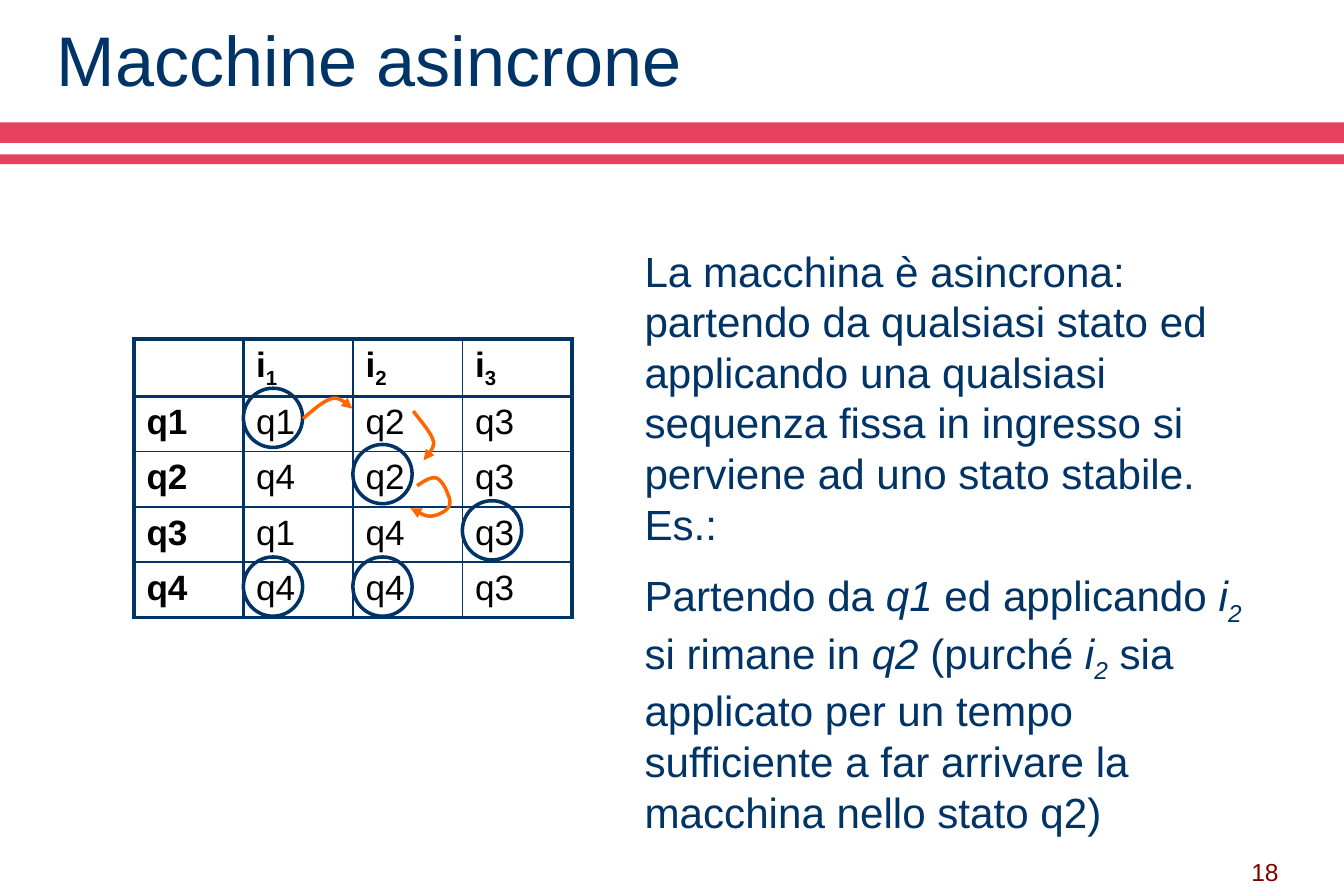
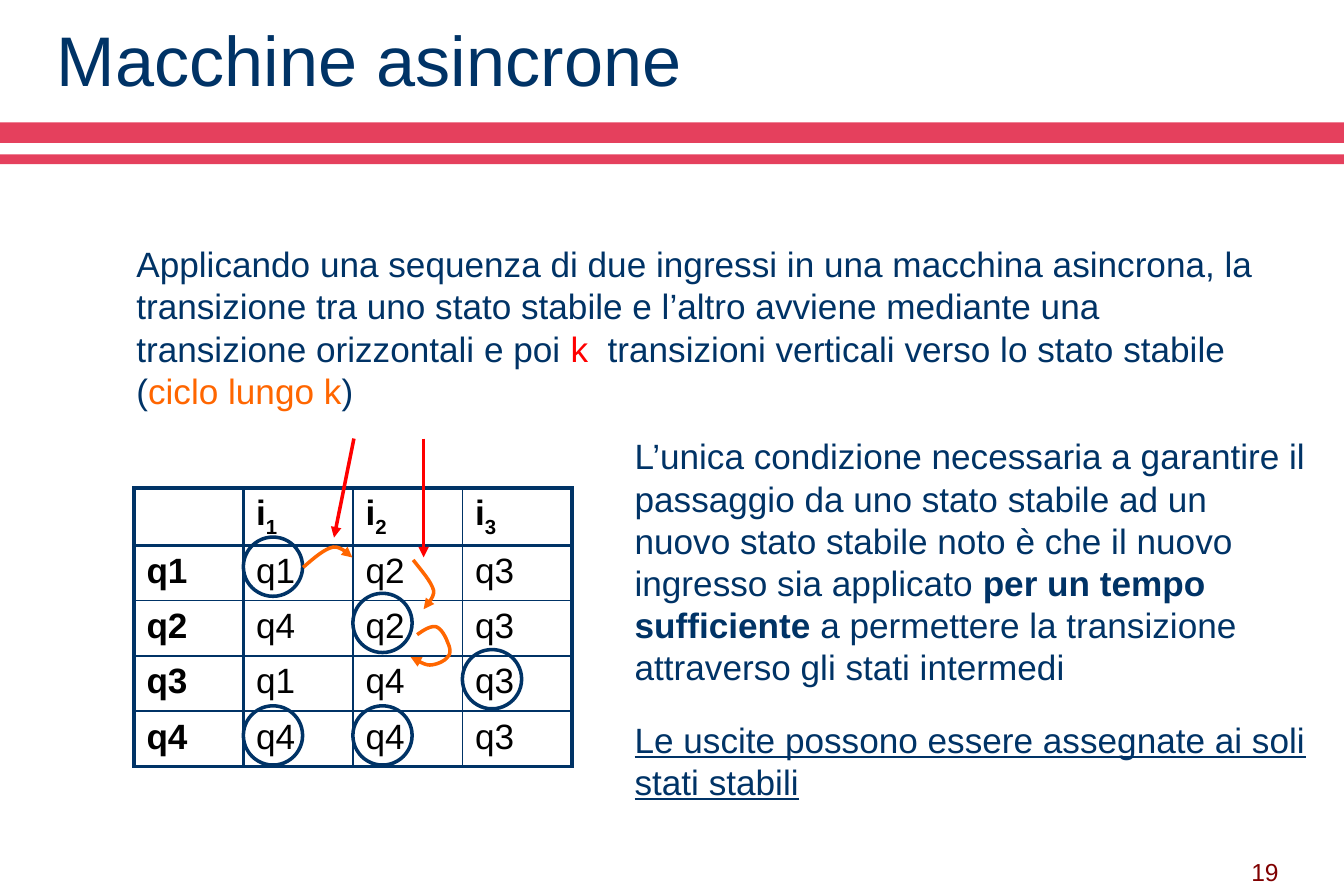
"""Build two slides on stable states in asynchronous state machines."""
from dataclasses import dataclass
from typing import Optional, Sequence

from lxml import etree
from pptx import Presentation
from pptx import util as u
from pptx.dml.color import RGBColor
from pptx.enum import shapes, text
from pptx.oxml.ns import qn

NAVY = RGBColor(0x00, 0x33, 0x66)
PINK = RGBColor(0xE5, 0x40, 0x5D)
ORANGE = RGBColor(0xFF, 0x66, 0x00)
RED = RGBColor(0xFF, 0x00, 0x00)
MAROON = RGBColor(0x80, 0x00, 0x00)
BLACK = RGBColor(0x00, 0x00, 0x00)

FONT = "Arial"
SLIDE_WIDTH, SLIDE_HEIGHT = 27, 18
TABLE_LEFT = 2.69
COLUMN, ROW = 2.2, 1.11
RING, RING_TOP, RING_STEP = 1.19, 0.99, 1.13
THICK, THIN = 2.25, 1
CURVE_STEPS = 8

Point = tuple[float, float]


@dataclass(frozen=True)
class Run:
    """A stretch of text with its own format."""
    words: str
    bold: bool = False
    italic: bool = False
    underline: bool = False
    subscript: bool = False
    color: Optional[RGBColor] = None


@dataclass(frozen=True)
class Box:
    """A place on the slide, in centimetres."""
    left: float
    top: float
    width: float
    height: float

    def lengths(self) -> tuple[u.Length, ...]:
        """Return the four lengths in the order python-pptx expects."""
        return tuple(u.Cm(v) for v in (self.left, self.top, self.width, self.height))


@dataclass(frozen=True)
class Passage:
    """Paragraphs of body text and their place."""
    box: Box
    paragraphs: Sequence[Sequence[Run]]
    size: float = 20


@dataclass(frozen=True)
class Page:
    """What differs from one slide to the next."""
    number: str
    table_top: float
    passages: Sequence[Passage]
    pointers: Sequence[tuple[Point, Point]] = ()


TITLE = "Macchine asincrone"
TITLE_BOX = Box(0.89, 0.61, 21.79, 1.4)
NUMBER_BOX = Box(19.46, 16.74, 6.48, 1.19)
BANDS = (Box(0, 2.46, SLIDE_WIDTH, 0.41), Box(0, 3.1, SLIDE_WIDTH, 0.2))

INPUTS = ("1", "2", "3")
NEXT_STATES = {
    "q1": ("q1", "q2", "q3"),
    "q2": ("q4", "q2", "q3"),
    "q3": ("q1", "q4", "q3"),
    "q4": ("q4", "q4", "q3"),
}

TRANSITIONS: tuple[tuple[Point, ...], ...] = (
    ((3.4, 1.6), (3.63, 1.4), (3.84, 1.22), (4.01, 1.19),
     (4.17, 1.17), (4.34, 1.37), (4.39, 1.4)),
    ((5.61, 1.45), (5.79, 1.68), (5.97, 1.88), (6.02, 2.06),
     (6.05, 2.21), (5.84, 2.39), (5.82, 2.44)),
    ((5.69, 2.95), (5.84, 2.84), (5.97, 2.77), (6.07, 2.79),
     (6.17, 2.82), (6.27, 3), (6.3, 3.1),
     (6.35, 3.2), (6.38, 3.33), (6.3, 3.4),
     (6.25, 3.48), (6.07, 3.56), (5.94, 3.56),
     (5.82, 3.56), (5.64, 3.43), (5.56, 3.4)),
)

INPUT_2 = (Run("i", italic=True), Run("2", italic=True, subscript=True))

PAGES = (
    Page("18", 6.81, (
        Passage(Box(12.7, 4.8, 12.6, 11.91), (
            (Run("La macchina è asincrona: partendo da qualsiasi stato ed applicando "
                 "una qualsiasi sequenza fissa in ingresso si perviene ad uno stato "
                 "stabile. Es.:"),),
            (Run("Partendo da "), Run("q1", italic=True), Run(" ed applicando "),
             *INPUT_2, Run(" si rimane in "), Run("q2 ", italic=True),
             Run("(purché "), *INPUT_2,
             Run(" sia applicato per un tempo sufficiente a far arrivare la "
                 "macchina nello stato q2)")),
        ), size=24),
    )),
    Page("19", 9.8, (
        Passage(Box(2.49, 4.75, 23.01, 3.63), ((
            Run("Applicando una sequenza di due ingressi in una macchina asincrona, la "
                "transizione tra uno stato stabile e l’altro avviene mediante una "
                "transizione orizzontali e poi "),
            Run("k", color=RED),
            Run("  transizioni verticali verso lo stato stabile ("),
            Run("ciclo lungo k", color=ORANGE), Run(")")),)),
        Passage(Box(12.5, 8.61, 14, 5.33), ((
            Run("L’unica condizione necessaria a garantire il passaggio da uno stato "
                "stabile ad un nuovo stato stabile noto è che il nuovo ingresso sia "
                "applicato "),
            Run("per un tempo sufficiente ", bold=True),
            Run("a permettere la transizione attraverso gli stati intermedi")),)),
        Passage(Box(12.5, 14.3, 14, 1.98), ((
            Run("Le uscite possono essere assegnate ai soli stati stabili",
                underline=True),),)),
    ), pointers=(((7.11, 8.81), (6.71, 10.8)), ((8.51, 8.81), (8.51, 11.2)))),
)


def write(frame, paragraphs: Sequence[Sequence[Run]], *, size: float,
          color: RGBColor = NAVY, align=text.PP_ALIGN.LEFT,
          anchor=text.MSO_ANCHOR.TOP, line_spacing: Optional[float] = None) -> None:
    """Fill a text frame with formatted paragraphs, half a line apart."""
    frame.word_wrap = True
    frame.auto_size = text.MSO_AUTO_SIZE.NONE
    frame.vertical_anchor = anchor
    for index, runs in enumerate(paragraphs):
        paragraph = frame.add_paragraph() if index else frame.paragraphs[0]
        paragraph.alignment = align
        if index:
            paragraph.space_before = u.Pt(size / 2)
        if line_spacing:
            paragraph.line_spacing = line_spacing
        for run in runs:
            piece = paragraph.add_run()
            piece.text = run.words
            font = piece.font
            font.name, font.size = FONT, u.Pt(size)
            font.bold, font.italic, font.underline = run.bold, run.italic, run.underline
            font.color.rgb = run.color or color
            if run.subscript:
                font._element.set("baseline", "-25000")


def outline(shape, color: RGBColor, *, arrow: bool = False) -> None:
    """Give a shape or connector a two-point line, with an arrowhead if asked."""
    shape.line.color.rgb = color
    shape.line.width = u.Pt(2)
    if arrow:
        ln = shape.element.spPr.get_or_add_ln()
        etree.SubElement(ln, qn("a:tailEnd"), type="triangle")


def add_text(slide, box: Box, paragraphs: Sequence[Sequence[Run]], **formats) -> None:
    """Add a text box and write into it."""
    write(slide.shapes.add_textbox(*box.lengths()).text_frame, paragraphs, **formats)


def add_frame(slide, number: str) -> None:
    """Draw the bands, title and page number that every slide has."""
    for box in BANDS:
        band = slide.shapes.add_shape(shapes.MSO_SHAPE.RECTANGLE, *box.lengths())
        band.shadow.inherit = False
        band.fill.solid()
        band.fill.fore_color.rgb = PINK
        band.line.fill.background()
    title = slide.shapes.title
    title.left, title.top, title.width, title.height = TITLE_BOX.lengths()
    write(title.text_frame, [[Run(TITLE)]], size=40,
          anchor=text.MSO_ANCHOR.MIDDLE, line_spacing=0.85)
    add_text(slide, NUMBER_BOX, [[Run(number)]], size=14, color=MAROON,
             align=text.PP_ALIGN.RIGHT, anchor=text.MSO_ANCHOR.BOTTOM)


def set_borders(cell, row: int, column: int, rows: int, columns: int) -> None:
    """Rule a cell, thick around the table and its headings."""
    edges = (("L", column, columns), ("R", column + 1, columns),
             ("T", row, rows), ("B", row + 1, rows))
    properties = cell._tc.get_or_add_tcPr()
    for side, boundary, last in edges:
        width = THICK if boundary in (0, 1, last) else THIN
        ln = etree.SubElement(properties, qn(f"a:ln{side}"), w=str(u.Pt(width)))
        fill = etree.SubElement(ln, qn("a:solidFill"))
        etree.SubElement(fill, qn("a:srgbClr"), val=str(NAVY))


def add_state_table(slide, top: float) -> None:
    """Add the table of next states."""
    heading = [(), *((Run("i", bold=True), Run(n, bold=True, subscript=True))
                     for n in INPUTS)]
    grid = [heading] + [[(Run(state, bold=True),), *((Run(s),) for s in following)]
                        for state, following in NEXT_STATES.items()]
    rows, columns = len(grid), len(heading)
    box = Box(TABLE_LEFT, top, COLUMN * columns, ROW * rows)
    table = slide.shapes.add_table(rows, columns, *box.lengths()).table
    table.first_row = table.horz_banding = False
    for r, line in enumerate(grid):
        for c, runs in enumerate(line):
            cell = table.cell(r, c)
            set_borders(cell, r, c, rows, columns)
            cell.fill.background()
            write(cell.text_frame, [runs], size=20, color=BLACK)


def add_stable_rings(slide, top: float) -> None:
    """Circle each cell whose next state is the state of its row."""
    for r, (state, following) in enumerate(NEXT_STATES.items()):
        for c, target in enumerate(following, start=1):
            if target == state:
                box = Box(TABLE_LEFT + COLUMN * c, top + RING_TOP + RING_STEP * r,
                          RING, RING)
                ring = slide.shapes.add_shape(shapes.MSO_SHAPE.OVAL, *box.lengths())
                ring.shadow.inherit = False
                ring.fill.background()
                outline(ring, NAVY)


def trace(controls: Sequence[Point]) -> list[Point]:
    """Return points along a chain of cubic curves."""
    points = [controls[0]]
    for start in range(0, len(controls) - 1, 3):
        corners = controls[start:start + 4]
        for step in range(1, CURVE_STEPS + 1):
            t = step / CURVE_STEPS
            weights = ((1 - t) ** 3, 3 * t * (1 - t) ** 2, 3 * t * t * (1 - t), t ** 3)
            points.append(tuple(sum(w * p[axis] for w, p in zip(weights, corners))
                                for axis in (0, 1)))
    return points


def add_transitions(slide, top: float) -> None:
    """Draw the curved arrows from state to state."""
    for controls in TRANSITIONS:
        first, *rest = [(u.Cm(TABLE_LEFT + x), u.Cm(top + y)) for x, y in trace(controls)]
        builder = slide.shapes.build_freeform(*first)
        builder.add_line_segments(rest, close=False)
        curve = builder.convert_to_shape()
        curve.shadow.inherit = False
        curve.fill.background()
        outline(curve, ORANGE, arrow=True)


def add_pointer(slide, start: Point, end: Point) -> None:
    """Draw a straight red arrow."""
    pointer = slide.shapes.add_connector(shapes.MSO_CONNECTOR.STRAIGHT,
                                         *(u.Cm(v) for v in (*start, *end)))
    outline(pointer, RED, arrow=True)
    etree.SubElement(pointer.element.spPr, qn("a:effectLst"))


def main() -> None:
    """Build and save the presentation."""
    deck = Presentation()
    deck.slide_width, deck.slide_height = u.Cm(SLIDE_WIDTH), u.Cm(SLIDE_HEIGHT)
    title_only = deck.slide_layouts.get_by_name("Title Only")
    for page in PAGES:
        slide = deck.slides.add_slide(title_only)
        add_frame(slide, page.number)
        add_state_table(slide, page.table_top)
        add_stable_rings(slide, page.table_top)
        add_transitions(slide, page.table_top)
        for passage in page.passages:
            add_text(slide, passage.box, passage.paragraphs, size=passage.size)
        for start, end in page.pointers:
            add_pointer(slide, start, end)
    deck.save("out.pptx")


if __name__ == "__main__":
    main()
